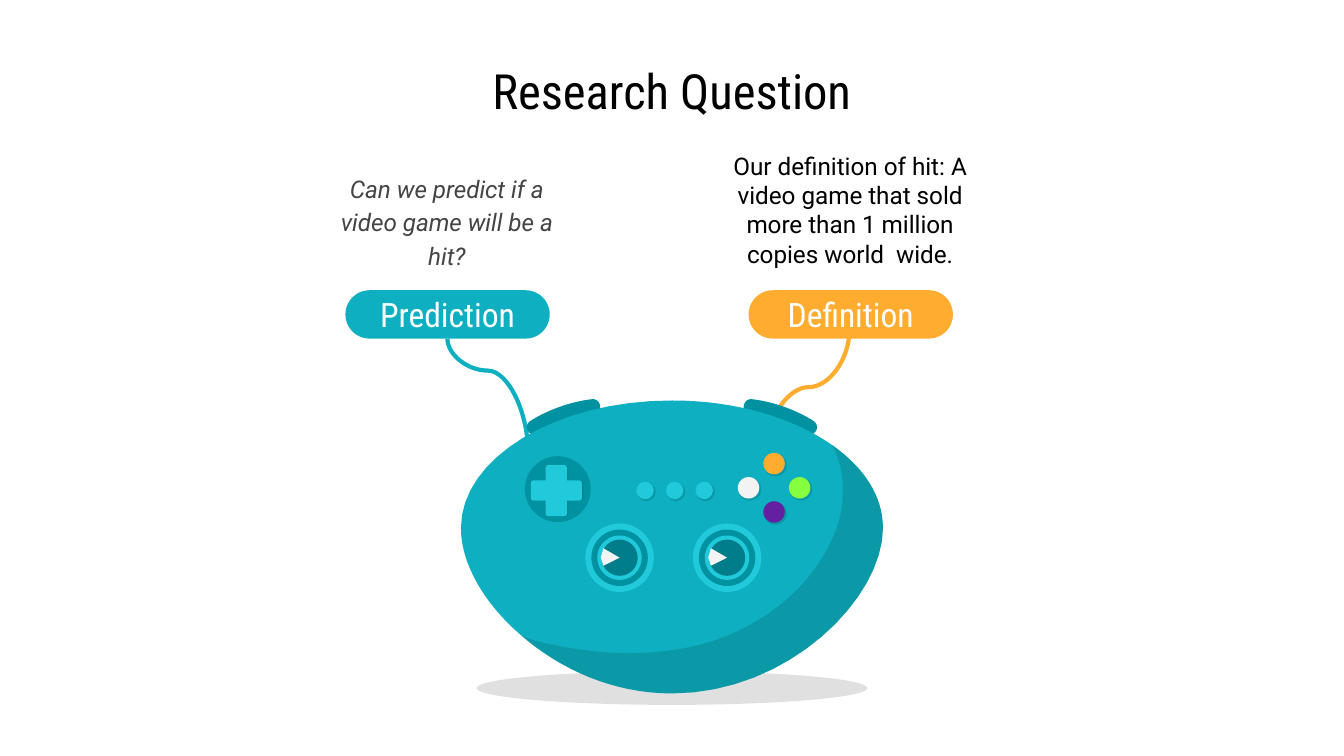
from lxml import etree
from pptx import Presentation
from pptx.dml.color import RGBColor
from pptx.enum import shapes as kinds, text as txt
from pptx.oxml.ns import qn
from pptx.util import Cm, Pt

TEAL, DARK, LIGHT, DEEP = "0DAFC0", "0092A1", "21CADB", "007D8A"
AMBER, PALE, BLACK, WHITE = "FFAC2F", "F3F3F3", "000000", "FFFFFF"
BODY, HEAD = "Roboto", "Roboto Condensed"
ROUND = kinds.MSO_SHAPE.ROUNDED_RECTANGLE
SHADE = 12  # opacity of shadows, percent

# All positions below are on a grid of 2.54 cm
TITLE = "Research Question"
NOTES = [
    dict(label="Prediction", color=TEAL, pill=2.57, box=(2.31, 1.3, 2.03, 0.86),
         text="Can we predict if a video game will be a hit?", ink="444444",
         italic=True, lead=1.15, foot=0.29, wire=(3.93, 3.37, 3.33, 2.52), bend=72100),
    dict(label="Definition", color=AMBER, pill=5.57, box=(5.31, 0.89, 2.03, 1.34),
         text="Our definition of hit: A video game that sold more than "
              "1 million copies world  wide.", ink=BLACK,
         italic=False, lead=None, foot=0.1, wire=(5.72, 3.3, 6.32, 2.46), bend=50000),
]
# Outlines: a start point, then lines (2 numbers) and curves (6 numbers)
BUMP = [(4.41, 2.97), (4.24, 2.99, 4.08, 3.05, 3.95, 3.13),
        (3.89, 3.17, 3.93, 3.24, 3.99, 3.24), (4, 3.24, 4.01, 3.24, 4.02, 3.23),
        (4.14, 3.16, 4.27, 3.11, 4.41, 3.09), (4.49, 3.08, 4.48, 2.97, 4.41, 2.97)]
RIM = [(4.17, 4.98, 4.56, 5.16, 5, 5.16), (5.87, 5.16, 6.57, 4.45, 6.57, 3.93),
       (6.57, 3.69, 6.43, 3.48, 6.19, 3.31)]
SHELL = [(5, 2.98), (4.13, 2.98, 3.43, 3.41, 3.43, 3.93),
         (3.43, 4.19, 3.6, 4.49, 3.88, 4.73), *RIM, (5.9, 3.11, 5.48, 2.98, 5, 2.98)]
CURVE = [(6.19, 3.31), (6.25, 3.42, 6.28, 3.55, 6.27, 3.68),
         (6.27, 3.84, 6.21, 3.99, 6.13, 4.13), (5.93, 4.47, 5.58, 4.7, 5.2, 4.8),
         (5.03, 4.84, 4.86, 4.86, 4.69, 4.86), (4.47, 4.86, 4.25, 4.83, 4.03, 4.78),
         (3.98, 4.77, 3.93, 4.75, 3.88, 4.73), *RIM]
STICKS = [4.61, 5.41]
RINGS = [(0.51, LIGHT), (0.42, DARK), (0.33, LIGHT), (0.27, DEEP)]
DOTS = [4.8, 5.02, 5.24]
KEYS = [(-0.19, 0, PALE), (0.19, 0, "86FF3F"), (0, -0.18, AMBER), (0, 0.18, "6520A2")]


def grid(v):
    return Cm(v * 2.54)


def rgb(code):
    return RGBColor.from_string(code)


def paint(shape, color, alpha=None):
    shape.shadow.inherit = False
    shape.fill.solid()
    shape.fill.fore_color.rgb = rgb(color)
    shape.line.fill.background()
    if alpha:
        tone = shape.fill._xPr.find(".//" + qn("a:srgbClr"))
        etree.SubElement(tone, qn("a:alpha"), val=str(alpha * 1000))
    return shape


def block(kind, box, color, alpha=None):
    return paint(slide.shapes.add_shape(kind, *map(grid, box)), color, alpha)


def disc(x, y, wide, color, alpha=None, high=None):
    """Ellipse centred on x, y."""
    high = high or wide
    box = x - wide / 2, y - high / 2, wide, high
    return block(kinds.MSO_SHAPE.OVAL, box, color, alpha)


def trace(path, steps=16):
    """Turn lines and cubic curves into points."""
    pts = [path[0]]
    for seg in path[1:]:
        if len(seg) == 2:
            pts.append(seg)
            continue
        knots = [pts[-1], seg[:2], seg[2:4], seg[4:]]
        for i in range(1, steps + 1):
            t = i / steps
            mix = (1 - t) ** 3, 3 * t * (1 - t) ** 2, 3 * t * t * (1 - t), t ** 3
            pts.append(tuple(sum(m * k[a] for m, k in zip(mix, knots)) for a in (0, 1)))
    return pts


def outline(pts, color, alpha=None):
    pts = [(grid(x), grid(y)) for x, y in pts]
    pen = slide.shapes.build_freeform(*pts[0])
    pen.add_line_segments(pts[1:], close=True)
    return paint(pen.convert_to_shape(), color, alpha)


def write(shape, words, size, font, color, italic=False, foot=0.1):
    frame = shape.text_frame
    frame.word_wrap = True
    frame.vertical_anchor = txt.MSO_ANCHOR.MIDDLE
    frame.margin_left = frame.margin_right = frame.margin_top = grid(0.1)
    frame.margin_bottom = grid(foot)
    para = frame.paragraphs[0]
    para.alignment = txt.PP_ALIGN.CENTER
    run = para.add_run()
    run.text = words
    run.font.size, run.font.name, run.font.italic = Pt(size), font, italic
    run.font.color.rgb = rgb(color)
    return para


def wire(x1, y1, x2, y2, color, bend):
    """Curve that leaves x1, y1 upwards: a sideways one, turned a quarter."""
    side = 1 if x2 > x1 else -1
    mx, my = (x1 + x2) / 2, (y1 + y2) / 2
    dx, dy = side * (y1 - y2) / 2, abs(x2 - x1) / 2
    ends = mx - dx, my - dy, mx + dx, my + dy
    line = slide.shapes.add_connector(kinds.MSO_CONNECTOR.CURVE, *map(grid, ends))
    line.line.color.rgb = rgb(color)
    line.line.width = Pt(2.25)
    props = line._element.spPr
    props.find(qn("a:xfrm")).set("rot", str((270 if side > 0 else 90) * 60000))
    guides = props.find(qn("a:prstGeom")).get_or_add_avLst()
    etree.SubElement(guides, qn("a:gd"), name="adj1", fmla=f"val {bend}")
    etree.SubElement(props, qn("a:effectLst"))


deck = Presentation()
deck.slide_width = grid(10)
deck.slide_height = deck.slide_width * 9 // 16
slide = deck.slides.add_slide(deck.slide_layouts[5])
title = slide.shapes.title
title.left, title.top, title.width, title.height = map(grid, (0.5, 0.45, 9, 0.44))
write(title, TITLE, 26, HEAD, BLACK)

for note in NOTES:
    wire(*note["wire"], note["color"], note["bend"])
    area = slide.shapes.add_textbox(*map(grid, note["box"]))
    para = write(area, note["text"], 13, BODY, note["ink"], note["italic"], note["foot"])
    para.line_spacing = note["lead"]
    pill = block(ROUND, (note["pill"], 2.16, 1.52, 0.36), note["color"])
    pill.adjustments[0] = 0.5
    write(pill, note["label"], 18, HEAD, WHITE).space_after = Pt(2)

disc(5, 5.12, 2.91, BLACK, SHADE, high=0.25)
bump = trace(BUMP)
outline(bump, DARK)
outline([(10 - x, y) for x, y in bump], DARK)
outline(trace(SHELL), TEAL)
outline(trace(CURVE), BLACK, SHADE)

for x in STICKS:
    for wide, color in RINGS:
        disc(x, 4.15, wide, color)
    outline([(x - 0.12, 4.08), (x - 0.14, 4.15), (x - 0.12, 4.21), (x, 4.15)], PALE)

disc(4.15, 3.64, 0.49, DARK)
for x, color in ((4.15, "00808E"), (4.14, LIGHT)):
    for wide, high in ((0.38, 0.15), (0.16, 0.38)):
        bar = block(ROUND, (x - wide / 2, 3.65 - high / 2, wide, high), color)
        bar.adjustments[0] = 0.13

buttons = [(5.76 + dx, 3.63 + dy, 0.16, color) for dx, dy, color in KEYS]
buttons += [(x, 3.65, 0.13, LIGHT) for x in DOTS]
for x, y, wide, color in buttons:
    disc(x + 0.01, y + 0.01, wide + 0.01, BLACK, SHADE)
    disc(x, y, wide, color)

deck.save("out.pptx")
